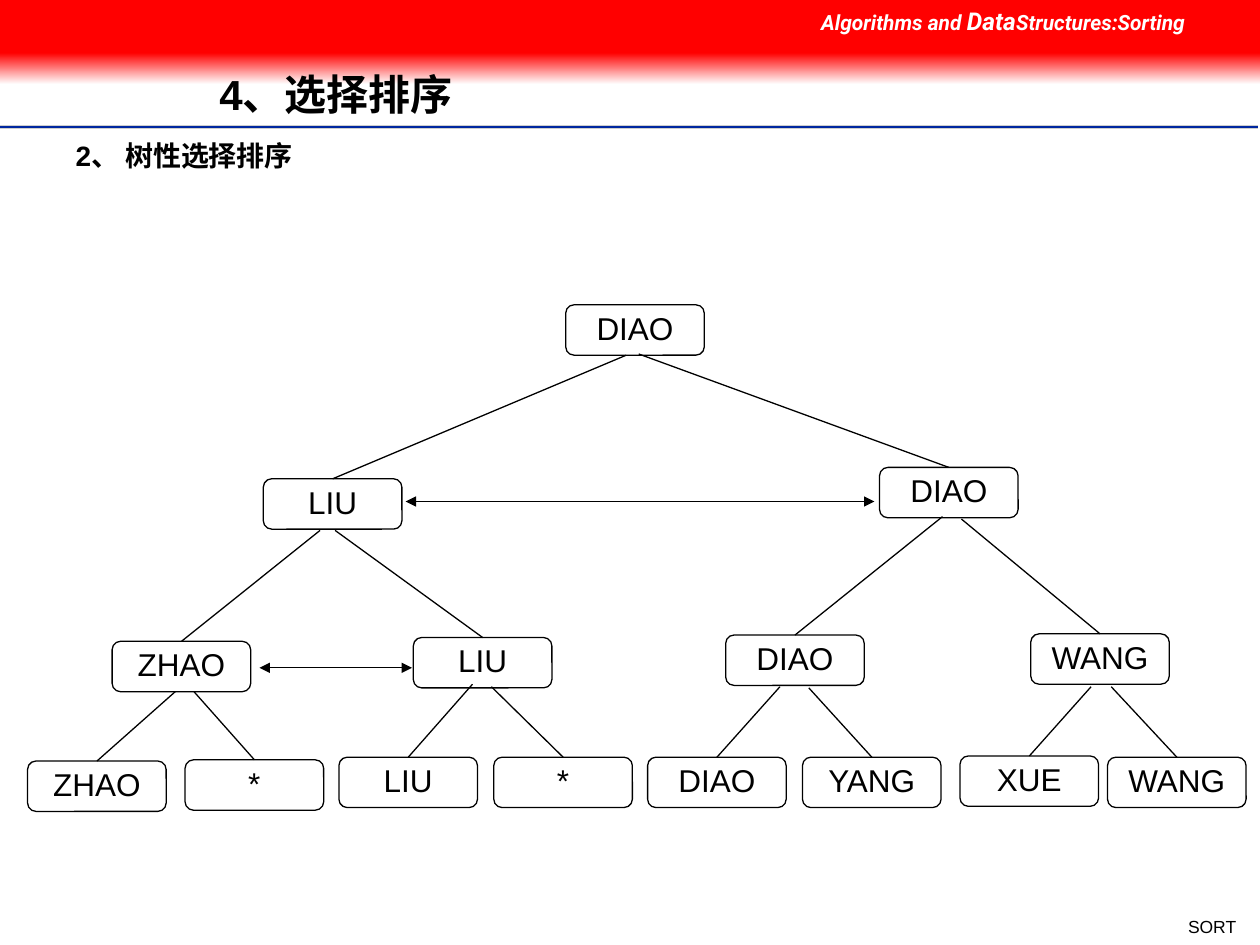
from dataclasses import dataclass

from lxml.etree import SubElement
from pptx import Presentation
from pptx.dml.color import RGBColor
from pptx.enum.shapes import MSO_CONNECTOR, MSO_SHAPE
from pptx.enum.text import MSO_ANCHOR, PP_ALIGN
from pptx.oxml.ns import qn
from pptx.util import Pt


@dataclass(frozen=True)
class Theme:
    black: RGBColor = RGBColor(0, 0, 0)
    white: RGBColor = RGBColor(255, 255, 255)
    red: RGBColor = RGBColor(255, 0, 0)
    blue: RGBColor = RGBColor(0x00, 0x27, 0x9F)
    gray: RGBColor = RGBColor(0xCE, 0xCE, 0xCE)
    body_font: str = "Arial"
    header_font: str = "Roboto"
    title_size: float = 24
    node_size: float = 18
    subtitle_size: float = 16
    emphasis_size: float = 14
    header_size: float = 12
    footer_size: float = 10
    thin_line: float = 0.75


THEME = Theme()
SLIDE_WIDTH, SLIDE_HEIGHT = 720, 540
NODE_WIDTH, NODE_HEIGHT = 79.2, 28.8

# label, left, top, then the start of the edge from the parent
TREE = [
    ("DIAO", 323.3, 174.2, None),
    ("LIU", 150.5, 273.6, (357.8, 203)),
    ("DIAO", 502.6, 267.1, (365, 202.3)),
    ("ZHAO", 64.1, 366.5, (182.9, 303.1)),
    ("LIU", 236.2, 364.3, (191.5, 303.1)),
    ("DIAO", 414.7, 362.9, (538.6, 295.2)),
    ("WANG", 589, 362.2, (549.4, 296.6)),
    ("ZHAO", 15.8, 434.9, (100.1, 395.3)),
    ("*", 105.8, 434.2, (110.9, 395.3)),
    ("LIU", 193.7, 432.7, (270, 391)),
    ("*", 282.2, 432.7, (280.8, 392.4)),
    ("DIAO", 370.1, 432.7, (445.7, 392.4)),
    ("YANG", 458.6, 432.7, (462.2, 393.1)),
    ("XUE", 548.6, 432, (623.5, 392.4)),
    ("WANG", 632.9, 432.7, (635, 392.4)),
]
COMPARISONS = [((148.3, 381.6), (235.4, 381.6)), ((231.8, 286.6), (499.7, 286.6))]


def add_run(paragraph, text, size, color=THEME.black, font=THEME.body_font,
            bold=False, italic=False):
    run = paragraph.add_run()
    run.text = text
    run.font.name = font
    run.font.size = Pt(size)
    run.font.bold = bold
    run.font.italic = italic
    run.font.color.rgb = color


def set_margins(frame, horizontal, vertical):
    frame.margin_left = frame.margin_right = Pt(horizontal)
    frame.margin_top = frame.margin_bottom = Pt(vertical)


def add_text_box(slide, left, top, width, height, wrap=True):
    frame = slide.shapes.add_textbox(Pt(left), Pt(top), Pt(width), Pt(height)).text_frame
    frame.word_wrap = wrap
    set_margins(frame, 7.2, 3.6)
    return frame


def add_line(slide, start, end, color=THEME.black, width=THEME.thin_line, arrows=False):
    line = slide.shapes.add_connector(
        MSO_CONNECTOR.STRAIGHT, Pt(start[0]), Pt(start[1]), Pt(end[0]), Pt(end[1]))
    line.line.color.rgb = color
    line.line.width = Pt(width)
    properties = line.element.find(qn("p:spPr"))
    if arrows:
        outline = properties.find(qn("a:ln"))
        for tag in ("a:headEnd", "a:tailEnd"):
            SubElement(outline, qn(tag), type="triangle")
    SubElement(properties, qn("a:effectLst"))
    return line


def add_band(slide, top, height):
    band = slide.shapes.add_shape(
        MSO_SHAPE.RECTANGLE, Pt(0), Pt(top), Pt(SLIDE_WIDTH), Pt(height))
    band.shadow.inherit = False
    band.line.fill.background()
    return band


def add_header(slide):
    fade = add_band(slide, 30.2, 18).fill
    fade.gradient()
    fade.gradient_angle = 270
    for stop, color in zip(fade.gradient_stops, (THEME.red, THEME.white)):
        stop.color.rgb = color
    solid = add_band(slide, 0, 30.2).fill
    solid.solid()
    solid.fore_color.rgb = THEME.red

    paragraph = add_text_box(slide, 462.2, 0, 257.8, 24.5).paragraphs[0]
    for text, size in (("Algorithms and ", THEME.header_size),
                       ("Data", THEME.emphasis_size),
                       ("Structures:Sorting", THEME.header_size)):
        add_run(paragraph, text, size, THEME.white, THEME.header_font, True, True)


def add_rule(slide):
    for top, color, width in ((72.7, THEME.gray, 2), (72.7, THEME.blue, 1),
                              (74.2, THEME.white, 1)):
        add_line(slide, (0, top), (718.6, top), color, width)


def format_title(slide, text):
    title = slide.shapes.title
    title.left, title.top, title.width, title.height = Pt(125.3), Pt(28.8), Pt(563.8), Pt(53.3)
    frame = title.text_frame
    frame.vertical_anchor = MSO_ANCHOR.MIDDLE
    set_margins(frame, 0, 0)
    paragraph = frame.paragraphs[0]
    paragraph.alignment = PP_ALIGN.LEFT
    paragraph.line_spacing = 0.9
    add_run(paragraph, text, THEME.title_size, bold=True)
    title.element.getparent().append(title.element)


def add_subtitle(slide, text):
    frame = add_text_box(slide, 0, 75.6, 198, 26.6)
    frame.margin_left = Pt(43.2)
    add_run(frame.paragraphs[0], text, THEME.subtitle_size, bold=True)


def add_footer(slide, text):
    paragraph = add_text_box(slide, 671, 519.8, 42.5, 19.4, wrap=False).paragraphs[0]
    paragraph.alignment = PP_ALIGN.RIGHT
    add_run(paragraph, text, THEME.footer_size)


def add_node(slide, label, left, top):
    node = slide.shapes.add_shape(
        MSO_SHAPE.ROUNDED_RECTANGLE, Pt(left), Pt(top), Pt(NODE_WIDTH), Pt(NODE_HEIGHT))
    node.shadow.inherit = False
    node.fill.background()
    node.line.color.rgb = THEME.black
    node.line.width = Pt(THEME.thin_line)
    frame = node.text_frame
    frame.word_wrap = False
    frame.vertical_anchor = MSO_ANCHOR.MIDDLE
    set_margins(frame, 0, 0)
    paragraph = frame.paragraphs[0]
    paragraph.alignment = PP_ALIGN.CENTER
    paragraph.line_spacing = 0.9
    add_run(paragraph, label, THEME.node_size)
    return node


def add_tree(slide):
    nodes = [add_node(slide, label, left, top) for label, left, top, _ in TREE]
    for node, (_, left, top, start) in zip(nodes, TREE):
        if start:
            edge = add_line(slide, start, (left + NODE_WIDTH / 2, top))
            edge.end_connect(node, 0)
    for start, end in COMPARISONS:
        add_line(slide, start, end, arrows=True)


def main():
    presentation = Presentation()
    presentation.slide_width, presentation.slide_height = Pt(SLIDE_WIDTH), Pt(SLIDE_HEIGHT)
    slide = presentation.slides.add_slide(presentation.slide_layouts[5])
    add_rule(slide)
    add_footer(slide, "SORT")
    add_header(slide)
    format_title(slide, "4、选择排序")
    add_subtitle(slide, "2、 树性选择排序")
    add_tree(slide)
    presentation.save("out.pptx")


if __name__ == "__main__":
    main()
